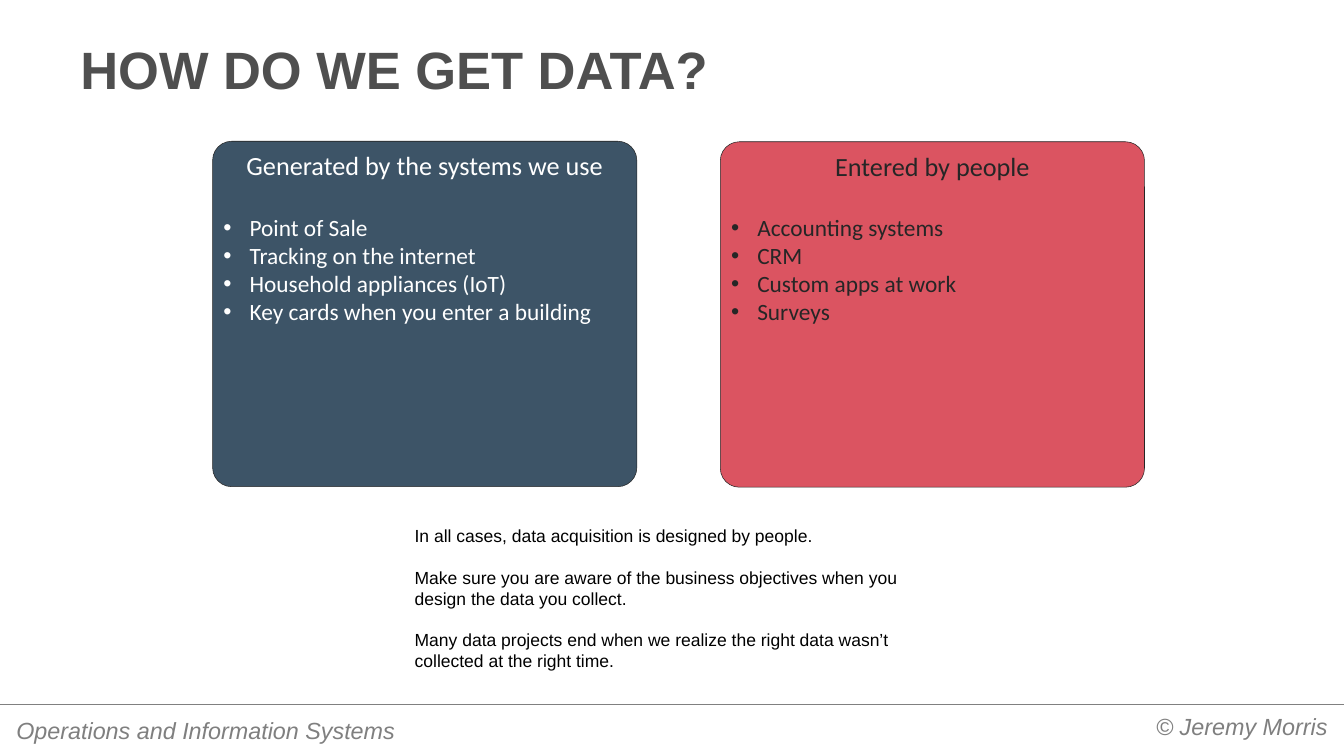
from lxml import etree
from pptx import Presentation
from pptx.dml.color import RGBColor
from pptx.enum.shapes import MSO_CONNECTOR, MSO_SHAPE
from pptx.enum.text import MSO_ANCHOR, MSO_AUTO_SIZE, PP_ALIGN
from pptx.oxml.ns import qn
from pptx.util import Inches, Pt

LEFT, CENTER, RIGHT = PP_ALIGN.LEFT, PP_ALIGN.CENTER, PP_ALIGN.RIGHT
TOP, BOTTOM = MSO_ANCHOR.TOP, MSO_ANCHOR.BOTTOM

# Content
COLORS = {
    "title": "4F4F4F", "footer": "7F7F7F", "rule": "808080", "black": "000000",
    "white": "FFFFFF", "dark": "262626", "navy": "3D5467", "red": "DB5461",
}
TITLE = "HOW DO WE GET DATA?"
CARDS = [
    # heading, items, fill, text colour, top
    ("Generated by the systems we use",
     ["Point of Sale", "Tracking on the internet", "Household appliances (IoT)",
      "Key cards when you enter a building"], "navy", "white", 2.69),
    ("Entered by people",
     ["Accounting systems", "CRM", "Custom apps at work", "Surveys"],
     "red", "dark", 2.7),
]
NOTES = [
    "In all cases, data acquisition is designed by people.",
    "Make sure you are aware of the business objectives when you design the data you collect.",
    "Many data projects end when we realize the right data wasn’t collected at the right time.",
]
FOOTERS = [
    # text, left, top, width, height, alignment
    ("© Jeremy Morris", 14.58, 13.48, 10.89, 1.26, RIGHT),
    ("Operations and Information Systems", 0.13, 13.56, 8.75, 0.72, LEFT),
]

# Layout in inches
SLIDE_WIDTH, SLIDE_HEIGHT = 25.6, 14.4
CARD_LEFT, CARD_STEP, CARD_WIDTH, CARD_HEIGHT = 4.05, 9.67, 8.08, 6.58
RULE_TOP = 13.41
BULLET_INDENT = 0.5


def color(name):
    return RGBColor.from_string(COLORS[name])


def add_text(frame, lines, size, color_name, font="Arial", bold=False, italic=False,
             align=LEFT, gap=0, bullet=False):
    """Write each line as a paragraph, after any text already in the frame."""
    for line in lines:
        paragraph = frame.paragraphs[0] if not frame.text else frame.add_paragraph()
        paragraph.alignment = align
        paragraph.space_before, paragraph.space_after = Pt(0), Pt(gap)
        if bullet:
            properties = paragraph._p.get_or_add_pPr()
            properties.set("marL", str(Inches(BULLET_INDENT)))
            properties.set("indent", str(-Inches(BULLET_INDENT)))
            etree.SubElement(properties, qn("a:buFont"), typeface="Arial")
            etree.SubElement(properties, qn("a:buChar"), char="•")
        run = paragraph.add_run()
        run.text = line
        run.font.name, run.font.size = font, Pt(size)
        run.font.bold, run.font.italic = bold, italic
        run.font.color.rgb = color(color_name)


def set_frame(frame, side=0.1, edge=0.05, anchor=TOP):
    frame.word_wrap = True
    frame.auto_size = MSO_AUTO_SIZE.NONE
    frame.vertical_anchor = anchor
    frame.margin_left = frame.margin_right = Inches(side)
    frame.margin_top = frame.margin_bottom = Inches(edge)
    return frame


def add_box(slide, left, top, width, height, **margins):
    box = slide.shapes.add_textbox(*map(Inches, (left, top, width, height)))
    return set_frame(box.text_frame, **margins)


def main():
    presentation = Presentation()
    presentation.slide_width = Inches(SLIDE_WIDTH)
    presentation.slide_height = Inches(SLIDE_HEIGHT)
    slide = presentation.slides.add_slide(presentation.slide_layouts[5])

    # Footer
    rule = slide.shapes.add_connector(
        MSO_CONNECTOR.STRAIGHT, 0, Inches(RULE_TOP), Inches(SLIDE_WIDTH), Inches(RULE_TOP))
    rule.line.color.rgb = color("rule")
    rule.line.width = Pt(0.75)
    etree.SubElement(rule._element.spPr, qn("a:effectLst"))
    for text, left, top, width, height, align in FOOTERS:
        frame = add_box(slide, left, top, width, height, side=0.18, edge=0.09)
        add_text(frame, [text], 32, "footer", italic=True, align=align)

    # Title
    title = slide.shapes.title
    title.left, title.top = Inches(1.28), Inches(0.53)
    title.width, title.height = Inches(23.04), Inches(1.49)
    frame = set_frame(title.text_frame, side=0.25, edge=0.12, anchor=BOTTOM)
    add_text(frame, [TITLE], 72, "title", bold=True)

    # Cards
    for index, (heading, items, fill, text_color, top) in enumerate(CARDS):
        left = CARD_LEFT + index * CARD_STEP
        card = slide.shapes.add_shape(
            MSO_SHAPE.ROUNDED_RECTANGLE, Inches(left), Inches(top),
            Inches(CARD_WIDTH), Inches(CARD_HEIGHT))
        card.adjustments[0] = 0.055
        card.shadow.inherit = False
        card.fill.solid()
        card.fill.fore_color.rgb = color(fill)
        card.line.color.rgb = color("dark")
        card.line.width = Pt(0.75)
        frame = set_frame(card.text_frame)
        add_text(frame, [heading], 36, text_color, font="Calibri", align=CENTER, gap=44)
        add_text(frame, items, 32, text_color, font="Calibri", bullet=True)

    # Closing notes
    add_text(add_box(slide, 7.8, 9.96, 10, 2.93), NOTES, 24, "black", gap=27.6)

    presentation.save("out.pptx")


if __name__ == "__main__":
    main()
